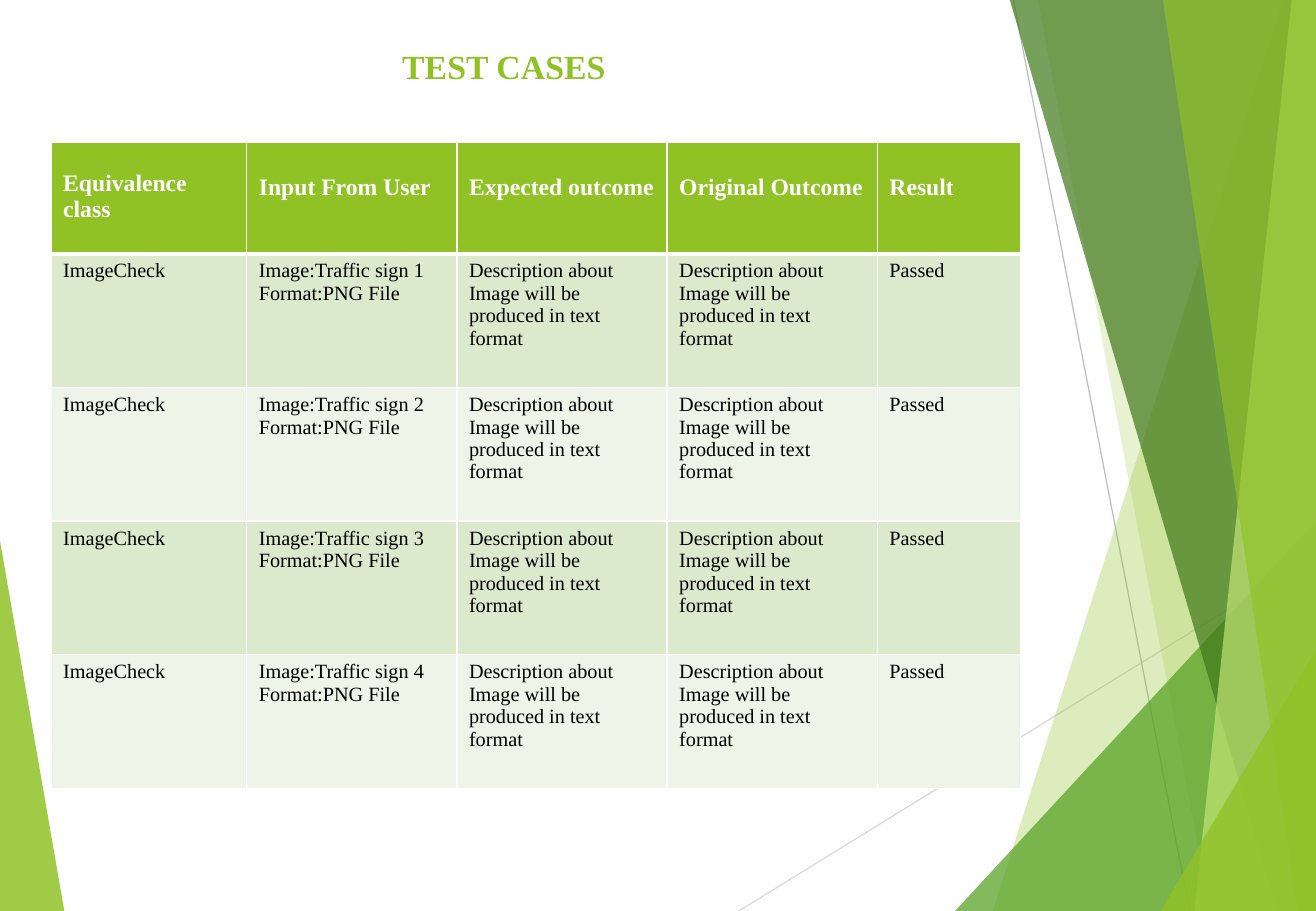
from lxml import etree
from pptx import Presentation
from pptx.dml.color import RGBColor
from pptx.enum.shapes import MSO_CONNECTOR
from pptx.enum.text import MSO_ANCHOR, MSO_AUTO_SIZE, PP_ALIGN
from pptx.oxml import parse_xml
from pptx.oxml.ns import nsdecls, qn
from pptx.util import Inches, Pt

STRAIGHT = MSO_CONNECTOR.STRAIGHT
TOP = MSO_ANCHOR.TOP
LEFT = PP_ALIGN.LEFT
NO_AUTOFIT = MSO_AUTO_SIZE.NONE

FONT = "Times New Roman"
LIME = RGBColor(0x90, 0xC2, 0x26)
GREEN = RGBColor(0x54, 0xA0, 0x21)
DARK_GREEN = RGBColor(0x3F, 0x78, 0x19)
PALE_LIME = RGBColor(0xC0, 0xE4, 0x74)
BAND_DARK = RGBColor(0xDB, 0xE9, 0xCD)
BAND_LIGHT = RGBColor(0xEE, 0xF4, 0xE8)
WHITE = RGBColor(0xFF, 0xFF, 0xFF)
BLACK = RGBColor(0, 0, 0)
GREY = RGBColor(0xD9, 0xD9, 0xD9)
MID_GREY = RGBColor(0xBF, 0xBF, 0xBF)

# Content
TITLE = "TEST CASES"
HEADERS = ["Equivalence class", "Input From User", "Expected outcome",
           "Original Outcome", "Result"]
OUTCOME = "Description about Image will be produced in text format"
CASES = [["ImageCheck", f"Image:Traffic sign {n}\nFormat:PNG File",
          OUTCOME, OUTCOME, "Passed"] for n in range(1, 5)]

# Layout, in inches
W, H = 10.83, 7.5
COL_WIDTHS = [1.61, 1.73, 1.73, 1.73, 1.18]
HEADER_HEIGHT, CASE_HEIGHT = 0.92, 1.1
HEADER_TOPS = [0.23] + [0.27] * 4

# Background: corner points, colour, opacity in percent
LEFT_WEDGE = ([(0, 4.45), (0.53, H), (0, H)], LIME, 85)
GREY_LINES = [((6.08, H), (W, 4.57), GREY), ((8.34, 0), (9.79, H), MID_GREY)]
RIGHT_FACETS = [
    ([(10.56, 0), (8.17, H), (W, H), (W, 0)], LIME, 30),
    ([(8.54, 0), (9.96, H), (W, H), (W, 0)], LIME, 20),
    ([(7.86, H), (W, 4.29), (W, H)], GREEN, 72),
    ([(8.31, 0), (10.51, H), (W, H), (W, 0)], DARK_GREEN, 70),
    ([(10.63, 0), (9.83, H), (W, H), (W, 0)], PALE_LIME, 70),
    ([(9.57, 0), (10.68, H), (W, H), (W, 0)], LIME, 65),
    ([(9.55, H), (W, 5.35), (W, H)], LIME, 80),
]


def add_facet(s, points, color, opacity):
    start, *rest = [(Inches(x), Inches(y)) for x, y in points]
    builder = s.shapes.build_freeform(*start)
    builder.add_line_segments(rest, close=True)
    sp = builder.convert_to_shape()
    sp.shadow.inherit = False
    sp.fill.solid()
    sp.fill.fore_color.rgb = color
    sp.line.fill.background()
    clr = sp.fill._xPr.find(qn("a:solidFill"))[0]
    etree.SubElement(clr, qn("a:alpha")).set("val", str(opacity * 1000))


def add_line(s, start, end, color):
    line = s.shapes.add_connector(
        STRAIGHT, *[Inches(v) for v in start + end])
    line.line.color.rgb = color
    line.line.width = Pt(0.75)
    etree.SubElement(line._element.spPr, qn("a:effectLst"))


def add_text(p, text, size, color, bold):
    r = p.add_run()
    r.text = text
    r.font.name = FONT
    r.font.size = Pt(size)
    r.font.bold = bold
    r.font.color.rgb = color


def fill_cell(cell, text, size, color, bold, fill, bottom_width):
    cell.fill.solid()
    cell.fill.fore_color.rgb = fill
    cell.vertical_anchor = TOP
    tf = cell.text_frame
    for i, line in enumerate(text.split("\n")):
        p = tf.paragraphs[0] if i == 0 else tf.add_paragraph()
        p.alignment = LEFT
        add_text(p, line, size, color, bold)
    # White borders come before the fill in the cell properties
    widths = [("lnL", 1), ("lnR", 1), ("lnT", 1), ("lnB", bottom_width)]
    for i, (side, width) in enumerate(widths):
        cell._tc.get_or_add_tcPr().insert(i, parse_xml(
            f'<a:{side} {nsdecls("a")} w="{Pt(width)}"><a:solidFill>'
            f'<a:srgbClr val="{WHITE}"/></a:solidFill></a:{side}>'))


def main():
    prs = Presentation()
    prs.slide_width, prs.slide_height = Inches(W), Inches(H)
    s = prs.slides.add_slide(prs.slide_layouts[5])

    # Background facets and lines
    add_facet(s, *LEFT_WEDGE)
    for line in GREY_LINES:
        add_line(s, *line)
    for facet in RIGHT_FACETS:
        add_facet(s, *facet)

    # Title
    title = s.shapes.title
    title.left, title.top = Inches(3.21), Inches(0.33)
    title.width, title.height = Inches(2.2), Inches(0.44)
    tf = title.text_frame
    tf.word_wrap = True
    tf.auto_size = NO_AUTOFIT
    tf.vertical_anchor = TOP
    tf.paragraphs[0].alignment = LEFT
    add_text(tf.paragraphs[0], TITLE, 20, LIME, True)

    # Test case table
    height = HEADER_HEIGHT + CASE_HEIGHT * len(CASES)
    table = s.shapes.add_table(
        len(CASES) + 1, len(HEADERS), Inches(0.42), Inches(1.17),
        Inches(sum(COL_WIDTHS)), Inches(height)).table
    for col, width in zip(table.columns, COL_WIDTHS):
        col.width = Inches(width)
    for i, row in enumerate(table.rows):
        row.height = Inches(CASE_HEIGHT if i else HEADER_HEIGHT)

    for j, text in enumerate(HEADERS):
        cell = table.cell(0, j)
        fill_cell(cell, text, 14, WHITE, True, LIME, 3)
        cell.margin_top = Inches(HEADER_TOPS[j])
    for i, case in enumerate(CASES, 1):
        band = BAND_DARK if i % 2 else BAND_LIGHT
        for j, text in enumerate(case):
            fill_cell(table.cell(i, j), text, 12, BLACK, False, band, 1)

    prs.save("out.pptx")


if __name__ == "__main__":
    main()
